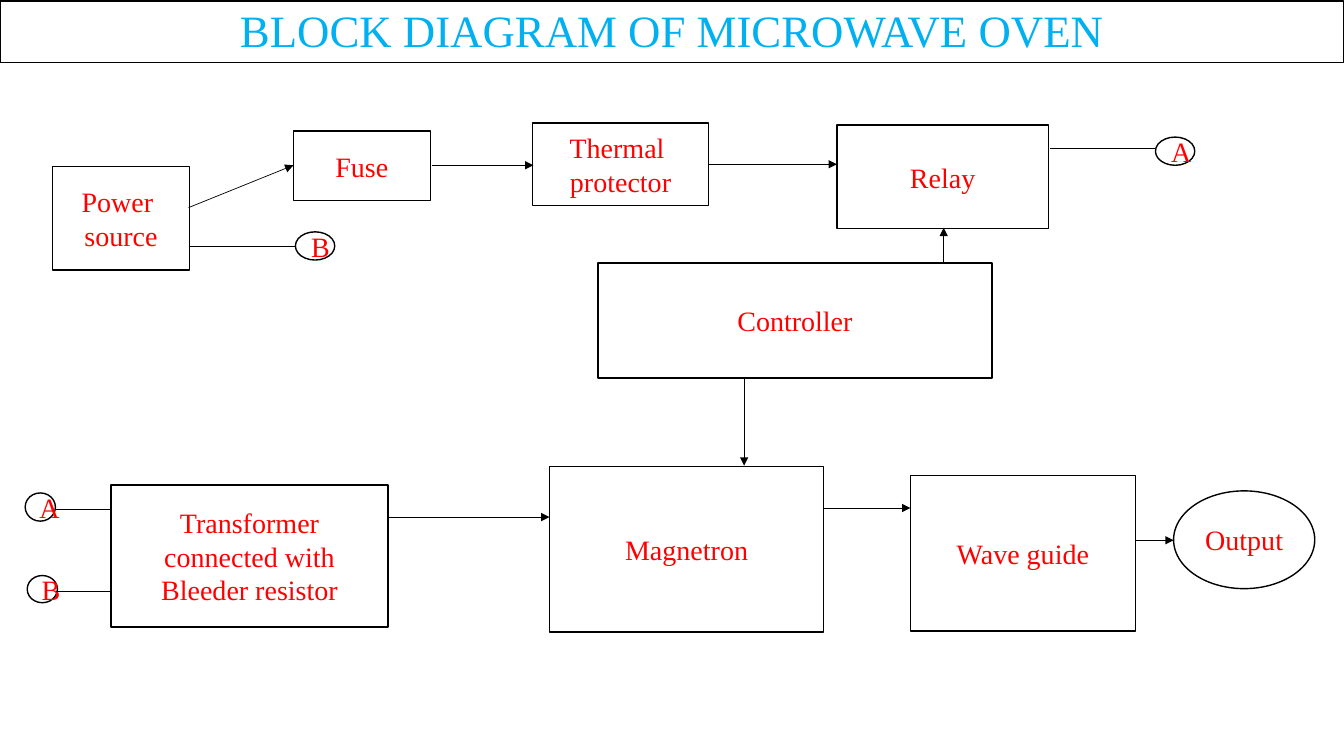
from lxml.etree import SubElement
from pptx import Presentation
from pptx.dml.color import RGBColor
from pptx.enum.shapes import MSO_CONNECTOR, MSO_SHAPE
from pptx.enum.text import MSO_ANCHOR, MSO_AUTO_SIZE, PP_ALIGN
from pptx.oxml.ns import qn
from pptx.util import Inches, Pt

BLACK = RGBColor(0, 0, 0)
WHITE = RGBColor(255, 255, 255)
RED = RGBColor(255, 0, 0)
BLUE = RGBColor(0, 176, 240)
RECT = MSO_SHAPE.RECTANGLE
OVAL = MSO_SHAPE.OVAL


def write(shape, text, size=20, color=RED, anchor=MSO_ANCHOR.MIDDLE, spacing=1.0):
    frame = shape.text_frame
    frame.text = text
    frame.word_wrap = True
    frame.auto_size = MSO_AUTO_SIZE.NONE
    frame.vertical_anchor = anchor
    for para in frame.paragraphs:
        para.alignment = PP_ALIGN.CENTER
        para.line_spacing = spacing
        font = para.runs[0].font
        font.name = "Times New Roman"
        font.size = Pt(size)
        font.color.rgb = color


def link(x1, y1, x2, y2, arrow):
    line = slide.shapes.add_connector(
        MSO_CONNECTOR.STRAIGHT, Inches(x1), Inches(y1), Inches(x2), Inches(y2))
    line.line.color.rgb = BLACK
    line.line.width = Pt(0.5)
    if arrow:
        SubElement(line.line._get_or_add_ln(), qn("a:tailEnd"), type="triangle")
    SubElement(line._element.spPr, qn("a:effectLst"))


deck = Presentation()
deck.slide_width = Inches(13.33)
deck.slide_height = Inches(7.5)
slide = deck.slides.add_slide(deck.slide_layouts[5])

title = slide.shapes.title
title.left, title.top = Inches(0), Inches(0.01)
title.width, title.height = Inches(13.33), Inches(0.61)
title.line.color.rgb = BLACK
title.line.width = Pt(0.75)
write(title, "BLOCK DIAGRAM OF MICROWAVE OVEN", size=32, color=BLUE,
      anchor=MSO_ANCHOR.BOTTOM, spacing=0.9)

blocks = [
    ("Power \nsource", RECT, 0.52, 1.65, 1.36, 1.03),
    ("Fuse", RECT, 2.91, 1.3, 1.36, 0.69),
    ("Thermal \nprotector", RECT, 5.28, 1.22, 1.75, 0.82),
    ("Relay", RECT, 8.3, 1.24, 2.1, 1.03),
    ("Controller", RECT, 5.93, 2.61, 3.91, 1.14),
    ("Transformer connected with Bleeder resistor", RECT, 1.1, 4.81, 2.75, 1.41),
    ("Magnetron", RECT, 5.45, 4.63, 2.72, 1.64),
    ("Wave guide", RECT, 9.03, 4.72, 2.23, 1.54),
    ("A", OVAL, 11.46, 1.36, 0.39, 0.28),
    ("B", OVAL, 2.93, 2.3, 0.39, 0.28),
    ("A", OVAL, 0.25, 4.89, 0.3, 0.28),
    ("B", OVAL, 0.27, 5.71, 0.3, 0.27),
    ("Output", OVAL, 11.64, 4.87, 1.4, 0.97),
]
for text, kind, left, top, width, height in blocks:
    block = slide.shapes.add_shape(
        kind, Inches(left), Inches(top), Inches(width), Inches(height))
    block.shadow.inherit = False
    block.fill.solid()
    block.fill.fore_color.rgb = WHITE
    block.line.color.rgb = BLACK
    block.line.width = Pt(1)
    write(block, text)

arrows = [
    (1.87, 2.06, 2.91, 1.64),
    (4.28, 1.64, 5.29, 1.64),
    (7.03, 1.63, 8.3, 1.63),
    (9.36, 2.61, 9.36, 2.26),
    (7.38, 3.75, 7.38, 4.62),
    (3.84, 5.13, 5.45, 5.13),
    (8.17, 5.04, 9.03, 5.04),
    (11.26, 5.36, 11.64, 5.36),
]
wires = [
    (10.41, 1.47, 11.46, 1.47),
    (1.87, 2.44, 2.93, 2.44),
    (0.56, 5.05, 1.1, 5.05),
    (0.56, 5.87, 1.1, 5.87),
]
for ends in arrows:
    link(*ends, arrow=True)
for ends in wires:
    link(*ends, arrow=False)

deck.save("out.pptx")
